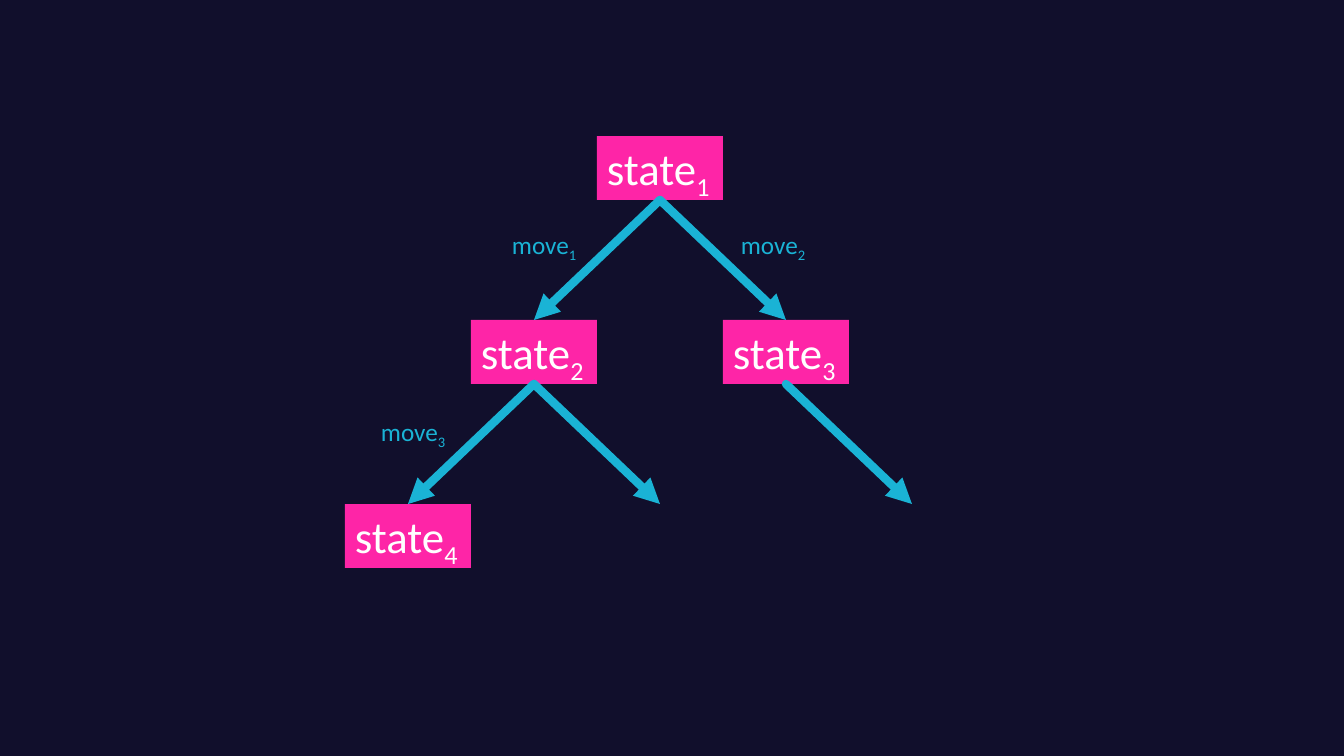
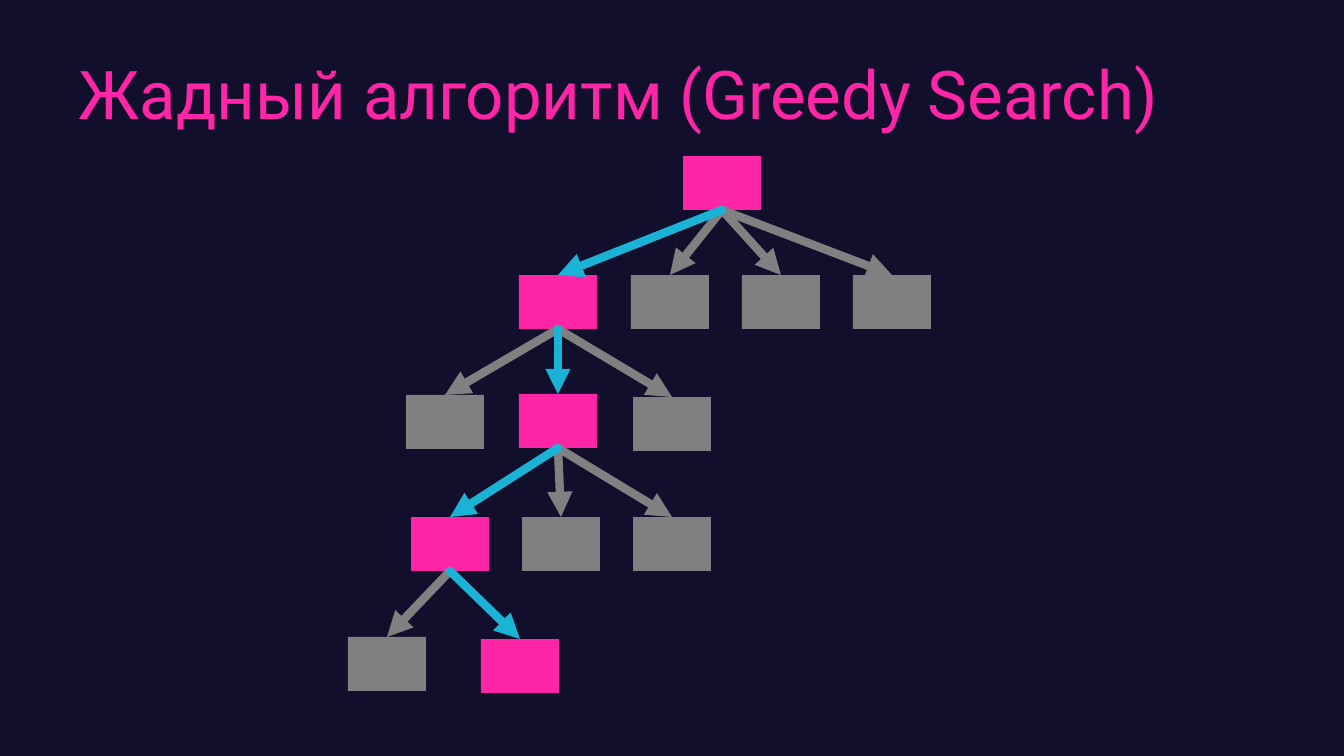
from pptx import Presentation
from pptx.dml.color import RGBColor
from pptx.enum.shapes import MSO_CONNECTOR, MSO_SHAPE
from pptx.enum.text import MSO_ANCHOR, MSO_AUTO_SIZE
from pptx.oxml.ns import qn
from pptx.util import Emu, Pt
from lxml.etree import SubElement

NAVY = RGBColor(0x11, 0x0F, 0x2C)
PINK = RGBColor(0xFE, 0x25, 0xA7)
CYAN = RGBColor(0x1A, 0xB3, 0xD5)
GREY = RGBColor(0x80, 0x80, 0x80)
WHITE = RGBColor(0xFF, 0xFF, 0xFF)


def px(*lengths):
    """Turn pixels (100.8 to the inch) into a list of EMU lengths."""
    return [Emu(round(length * 914400 / 100.8)) for length in lengths]


def add_arrow(slide, parent, target, color):
    """Draw from the bottom of parent to a shape's top or to an (x, y) point."""
    start = parent.left + parent.width // 2, parent.top + parent.height
    is_point = isinstance(target, tuple)
    end = target if is_point else (target.left + target.width // 2, target.top)
    arrow = slide.shapes.add_connector(MSO_CONNECTOR.STRAIGHT, *start, *end)
    arrow.begin_connect(parent, 2)
    if not is_point:
        arrow.end_connect(target, 0)
    arrow.line.color.rgb = color
    arrow.line.width = Pt(6)
    properties = arrow._element.spPr
    outline = properties.find(qn("a:ln"))
    outline.set("cap", "rnd")
    SubElement(outline, qn("a:tailEnd"), type="triangle")
    SubElement(properties, qn("a:effectLst"))


prs = Presentation()
prs.slide_width, prs.slide_height = px(1344, 756)
slides = [prs.slides.add_slide(prs.slide_layouts[6]) for _ in range(2)]
for slide in slides:
    slide.background.fill.solid()
    slide.background.fill.fore_color.rgb = NAVY
state_slide, greedy_slide = slides

# Slide 1: states on a grid of columns and rows, joined by moves
STATE_W, STATE_H = 126, 64
ROOT_X, ROOT_Y, ROW_STEP = 597, 136, 184
state_cells = [(0, 0), (-1, 1), (1, 1), (-2, 2)]
move_places = [(502, 224), (731, 224), (371, 411)]

labels = [
    ("state", number, 32, WHITE,
     (ROOT_X + column * STATE_W, ROOT_Y + row * ROW_STEP, STATE_W, STATE_H))
    for number, (column, row) in enumerate(state_cells, 1)
] + [
    ("move", number, 18, CYAN, (x, y, 87, 40))
    for number, (x, y) in enumerate(move_places, 1)
]

states = []
for word, number, size, color, place in labels:
    label = state_slide.shapes.add_textbox(*px(*place))
    if word == "state":
        label.fill.solid()
        label.fill.fore_color.rgb = PINK
        states.append(label)
    frame = label.text_frame
    frame.word_wrap = False
    frame.auto_size = MSO_AUTO_SIZE.SHAPE_TO_FIT_TEXT
    for text in (word, str(number)):
        run = frame.paragraphs[0].add_run()
        run.text = text
        run.font.name = "Calibri"
        run.font.size = Pt(size)
        run.font.color.rgb = color
    run._r.get_or_add_rPr().set("baseline", "-25000")

open_ends = [
    tuple(px(ROOT_X + column * STATE_W + STATE_W / 2, ROOT_Y + 2 * ROW_STEP))
    for column in (0, 2)
]
state_1, state_2, state_3, state_4 = states
for parent, target in [
    (state_1, state_2), (state_1, state_3),
    (state_2, state_4), (state_2, open_ends[0]), (state_3, open_ends[1]),
]:
    add_arrow(state_slide, parent, target, CYAN)

# Slide 2: at each level one node is chosen and expanded
title = greedy_slide.shapes.add_textbox(*px(69, 30, 1229, 125))
title.text_frame.word_wrap = True
title.text_frame.vertical_anchor = MSO_ANCHOR.MIDDLE
title.text_frame.text = "Жадный алгоритм (Greedy Search)"
title_font = title.text_frame.paragraphs[0].runs[0].font
title_font.name = "Roboto"
title_font.size = Pt(48)
title_font.color.rgb = PINK

# Index of the chosen node, then the top left corner of every node
levels = [
    (0, [(683, 156)]),
    (0, [(519, 275), (631, 275), (742, 275), (853, 275)]),
    (1, [(406, 395), (519, 394), (633, 397)]),
    (0, [(411, 517), (522, 517), (633, 517)]),
    (1, [(348, 637), (481, 639)]),
]
branches = {GREY: [], CYAN: []}
parent = None
for chosen, corners in levels:
    nodes = []
    for index, corner in enumerate(corners):
        node = greedy_slide.shapes.add_shape(
            MSO_SHAPE.RECTANGLE, *px(*corner, 78, 54))
        node.shadow.inherit = False
        node.fill.solid()
        node.fill.fore_color.rgb = PINK if index == chosen else GREY
        node.line.fill.background()
        nodes.append(node)
        if parent is not None:
            branches[CYAN if index == chosen else GREY].append((parent, node))
    parent = nodes[chosen]

for color, pairs in branches.items():
    for parent, child in pairs:
        add_arrow(greedy_slide, parent, child, color)

prs.save("out.pptx")
